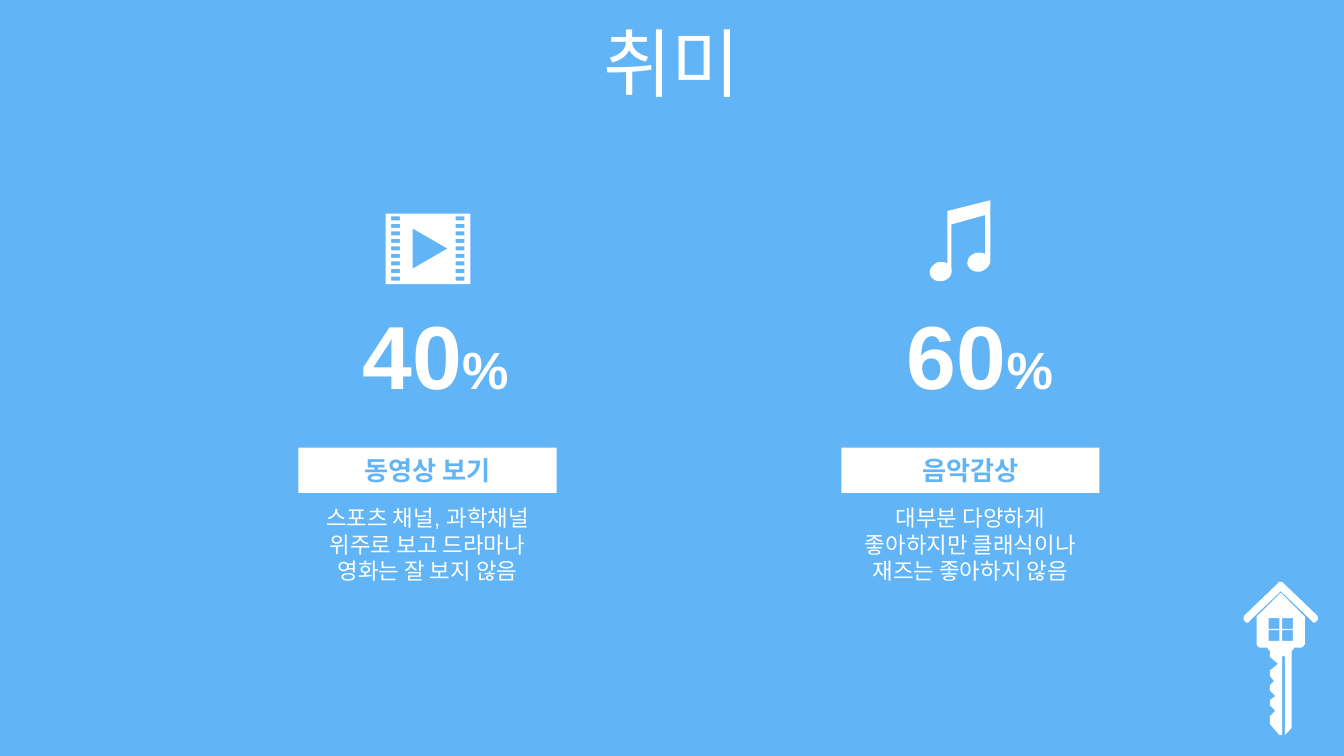
import dataclasses
import typing

import pptx
import pptx.dml.color
import pptx.enum.shapes
import pptx.enum.text
import pptx.util

Cm = pptx.util.Cm
COLORS = {"sky": "61B4F6", "white": "FFFFFF"}
FONT = "Arial"

# Outlines are in hundredths of an inch: pairs are corners, sixes are cubic curves.
Contour = list[tuple[float, ...]]
SUBDIVISION = 10
CURVE_STEPS = 8


@dataclasses.dataclass
class Box:
    """A frame in centimetres."""
    left: float
    top: float
    width: float
    height: float


@dataclasses.dataclass
class Hobby:
    name: str
    share: str
    caption: str
    panel_left: float
    share_left: float


HOBBIES = [
    Hobby("동영상 보기", "40", "스포츠 채널, 과학채널 위주로 보고 드라마나 영화는 잘 보지 않음", 5.64, 6.6),
    Hobby("음악감상", "60", "대부분 다양하게 좋아하지만 클래식이나 재즈는 좋아하지 않음", 15.9, 16.89),
]


def rgb(name: str) -> pptx.dml.color.RGBColor:
    return pptx.dml.color.RGBColor.from_string(COLORS[name])


def paint(shape: typing.Any) -> None:
    shape.fill.solid()
    shape.fill.fore_color.rgb = rgb("white")
    shape.line.fill.background()
    shape.shadow.inherit = False


def add_text(slide: typing.Any, box: Box, runs: list[tuple[str, float]], *,
             color: str = "white", bold: bool = False, centered: bool = True,
             wrap: bool = True, grow: bool = True, middle: bool = False,
             filled: bool = False) -> None:
    """Add (text, point size) runs in a text box, or in a white rectangle if filled."""
    frame = [Cm(length) for length in dataclasses.astuple(box)]
    if filled:
        shape = slide.shapes.add_shape(pptx.enum.shapes.MSO_SHAPE.RECTANGLE, *frame)
        paint(shape)
    else:
        shape = slide.shapes.add_textbox(*frame)
    text_frame = shape.text_frame
    text_frame.word_wrap = wrap
    sizes = pptx.enum.text.MSO_AUTO_SIZE
    text_frame.auto_size = sizes.SHAPE_TO_FIT_TEXT if grow else sizes.NONE
    anchors = pptx.enum.text.MSO_ANCHOR
    text_frame.vertical_anchor = anchors.MIDDLE if middle else anchors.TOP
    paragraph = text_frame.paragraphs[0]
    alignments = pptx.enum.text.PP_ALIGN
    paragraph.alignment = alignments.CENTER if centered else alignments.LEFT
    for text, size in runs:
        run = paragraph.add_run()
        run.text = text
        run.font.name = FONT
        run.font.size = pptx.util.Pt(size)
        run.font.bold = bold
        run.font.color.rgb = rgb(color)


def flatten(contour: Contour) -> list[tuple[float, float]]:
    """Turn the curves of a contour into short lines, in subdivided units."""
    points = [contour[0]]
    for step in contour[1:]:
        if len(step) == 2:
            points.append(step)
            continue
        controls = [points[-1], step[:2], step[2:4], step[4:]]
        for index in range(1, CURVE_STEPS + 1):
            t = index / CURVE_STEPS
            weights = [(1 - t) ** 3, 3 * t * (1 - t) ** 2, 3 * t * t * (1 - t), t ** 3]
            points.append(tuple(
                sum(weight * control[axis] for weight, control in zip(weights, controls))
                for axis in (0, 1)))
    return [(x * SUBDIVISION, y * SUBDIVISION) for x, y in points]


def add_icon(slide: typing.Any, contours: list[Contour]) -> None:
    outlines = [flatten(contour) for contour in contours]
    builder = slide.shapes.build_freeform(*outlines[0][0], scale=Cm(2.54) / 100 / SUBDIVISION)
    for index, outline in enumerate(outlines):
        if index:
            builder.move_to(*outline[0])
        builder.add_line_segments(outline[1:], close=True)
    paint(builder.convert_to_shape())


def rectangle(left: float, top: float, width: float, height: float) -> Contour:
    right, bottom = left + width, top + height
    return [(left, top), (left, bottom), (right, bottom), (right, top)]


def film_icon() -> list[Contour]:
    holes = [rectangle(left, 161 + 5.6 * row, 6.5, 3)
             for row in range(9) for left in (291, 339)]
    play = [(307, 170), (307, 200), (333, 185)]
    return [[(287, 159), (350, 159), (350, 211.5), (287, 211.5)], play, *holes]


def music_icon() -> list[Contour]:
    return [[
        (737, 149), (737, 193), (737, 197, 735, 200, 730, 202),
        (726, 203, 721, 201, 720, 197), (719, 193, 722, 189, 727, 188),
        (729, 188, 731, 188, 733, 189), (733, 160), (708, 167), (708, 200),
        (709, 204, 706, 208, 702, 209), (697, 210, 693, 208, 692, 204),
        (691, 200, 694, 197, 698, 195), (701, 195, 703, 195, 705, 196), (705, 157),
    ]]


def key_icon() -> list[Contour]:
    blade = [
        (945, 484), (961, 484), (961, 542), (956, 547), (956, 489),
        (956, 488, 954, 488, 954, 489), (954, 547), (952, 547), (945, 539),
        (945, 533), (949, 529), (945, 525), (945, 521), (949, 518), (945, 514),
        (945, 510), (948, 507), (945, 503), (945, 499), (951, 494), (945, 489),
    ]
    house = [
        (953, 441), (971, 459), (971, 479), (971, 480, 969, 482, 968, 482),
        (963, 482), (962, 484), (944, 484), (943, 482), (938, 482),
        (936, 482, 935, 480, 935, 479), (935, 459),
    ]
    panes = [rectangle(left, top, 8, 8) for left in (944, 954) for top in (460, 469)]
    roof = [
        (953, 433), (954, 433, 954, 433, 955, 434), (980, 458),
        (981, 460, 981, 461, 980, 462), (978, 464, 977, 464, 976, 462),
        (953, 440), (930, 462), (929, 464, 927, 464, 926, 462),
        (925, 461, 925, 460, 926, 458), (951, 434), (951, 433, 952, 433, 953, 433),
    ]
    return [blade, house, *panes, roof]


def main() -> None:
    presentation = pptx.Presentation()
    presentation.slide_width = Cm(25.4)
    presentation.slide_height = Cm(14.29)
    slide = presentation.slides.add_slide(presentation.slide_layouts[6])
    slide.background.fill.solid()
    slide.background.fill.fore_color.rgb = rgb("sky")

    add_icon(slide, key_icon())
    add_text(slide, Box(0, 0.36, 25.4, 1.6), [("취미", 40)], grow=False, middle=True)
    for hobby in HOBBIES:
        add_text(slide, Box(hobby.panel_left, 9.4, 4.88, 1.8), [(hobby.caption, 12)])
        add_text(slide, Box(hobby.panel_left, 8.46, 4.88, 0.86), [(hobby.name, 14)],
                 color="sky", bold=True, middle=True, filled=True)
        add_text(slide, Box(hobby.share_left, 5.54, 3.3, 2.31),
                 [(hobby.share, 48), ("%", 28)], bold=True, centered=False, wrap=False)
    add_icon(slide, film_icon())
    add_icon(slide, music_icon())
    presentation.save("out.pptx")


if __name__ == "__main__":
    main()
